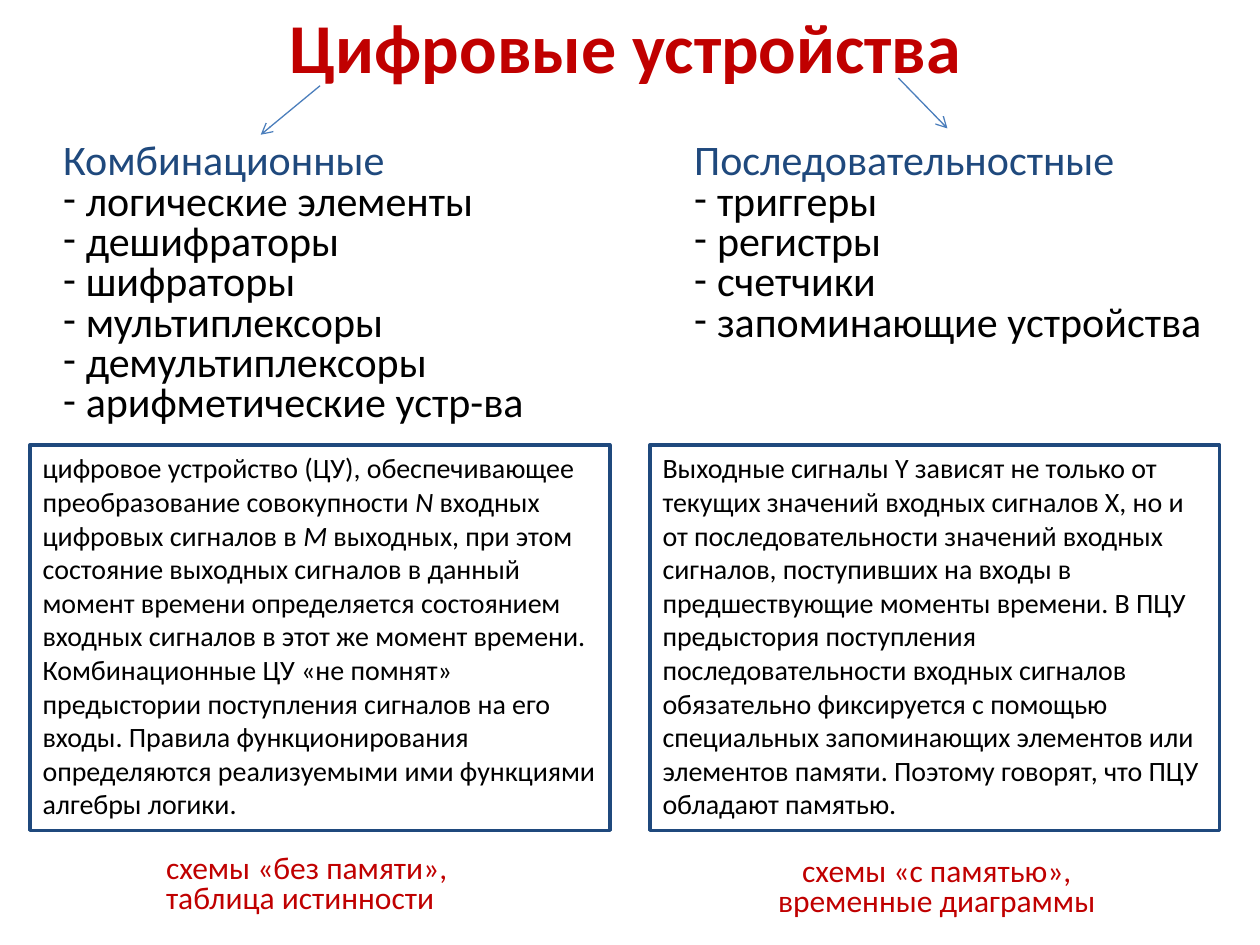
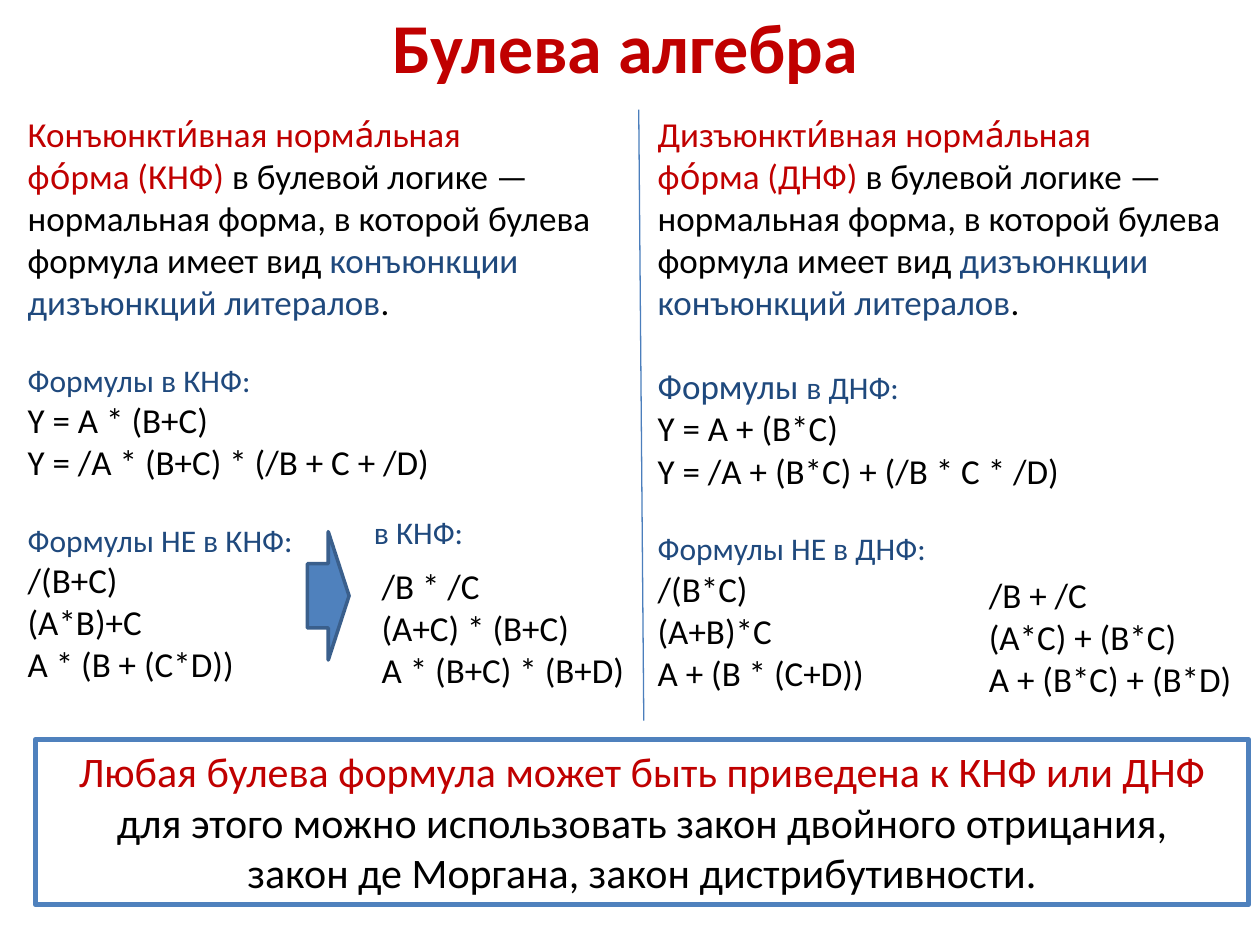
from dataclasses import dataclass

import pptx
import pptx.dml.color
import pptx.enum.shapes
import pptx.enum.text
import pptx.oxml
import pptx.oxml.ns
import pptx.util
from pptx.util import Pt

RED, NAVY, BLACK = "C00000", "1F497D", "000000"
BLUE, ARROW_EDGE, THIN_LINE = "4F81BD", "3A5F8C", "4B7EBC"
FONT = "Calibri"
NBSP = chr(160)
TWO_CONTENT = 3
LEFT = pptx.enum.text.PP_ALIGN.LEFT
CENTER = pptx.enum.text.PP_ALIGN.CENTER
SHAPES = pptx.enum.shapes.MSO_SHAPE


@dataclass(frozen=True)
class Area:
    left: float
    top: float
    width: float
    height: float

    def lengths(self) -> list:
        return [Pt(value) for value in (self.left, self.top, self.width, self.height)]


@dataclass(frozen=True)
class Span:
    text: str
    size: float
    color: str = BLACK
    bold: bool = False
    italic: bool = False


@dataclass(frozen=True)
class Para:
    spans: tuple[Span, ...]
    before: float = 0
    spacing: float = 1.0
    align: int = LEFT
    dash: bool = False


@dataclass(frozen=True)
class DeviceClass:
    """One half of the first slide: a kind of device, its members and traits."""
    name: str
    members: tuple[str, ...]
    list_area: Area
    definition: tuple[Span, ...]
    definition_area: Area
    summary: tuple[str, ...]
    summary_area: Area
    summary_align: int


@dataclass(frozen=True)
class NormalForm:
    """One half of the second slide: a normal form with sample formulas."""
    adjective: str
    short: str
    meaning: str
    heading_size: float
    gap: float
    formulas: tuple[str, ...]
    other_formulas: tuple[str, ...]
    area: Area
    converted: tuple[str, ...]
    converted_area: Area


def rgb(color: str) -> pptx.dml.color.RGBColor:
    return pptx.dml.color.RGBColor.from_string(color)


def add_child(parent, tag: str, **attributes: str) -> None:
    child = pptx.oxml.parse_xml(f"<{tag} {pptx.oxml.ns.nsdecls('a')}/>")
    for name, value in attributes.items():
        child.set(name, value)
    parent.append(child)


def format_para(para, style: Para) -> None:
    para.alignment = style.align
    para.line_spacing = style.spacing
    para.space_before = Pt(style.before)
    properties = para._p.get_or_add_pPr()
    indent = Pt(13) if style.dash else 0
    properties.set("marL", str(indent))
    properties.set("indent", str(-indent))
    if style.dash:
        add_child(properties, "a:buFont", typeface=FONT)
        add_child(properties, "a:buChar", char="-")
    else:
        add_child(properties, "a:buNone")


def write(box, paras: list[Para], wrap: bool = True,
          anchor=pptx.enum.text.MSO_ANCHOR.TOP) -> None:
    frame = box.text_frame
    frame.word_wrap = wrap
    frame.auto_size = pptx.enum.text.MSO_AUTO_SIZE.NONE
    frame.vertical_anchor = anchor
    for index, style in enumerate(paras):
        para = frame.add_paragraph() if index else frame.paragraphs[0]
        format_para(para, style)
        for span in style.spans:
            run = para.add_run()
            run.text = span.text
            run.font.name = FONT
            run.font.size = Pt(span.size)
            run.font.bold = span.bold
            run.font.italic = span.italic
            run.font.color.rgb = rgb(span.color)


def place(box, area: Area) -> None:
    box.left, box.top, box.width, box.height = area.lengths()


def add_page(deck, title: str):
    page = deck.slides.add_slide(deck.slide_layouts[TWO_CONTENT])
    heading = page.shapes.title
    place(heading, Area(8.6, 2.9, 697.7, 46))
    write(heading, [Para((Span(title, 40, RED, bold=True),), align=CENTER)],
          anchor=pptx.enum.text.MSO_ANCHOR.MIDDLE)
    return page


def fill_body(page, index: int, area: Area, paras: list[Para], wrap: bool = True) -> None:
    body = page.placeholders[index]
    place(body, area)
    write(body, paras, wrap)


def add_label(page, area: Area, paras: list[Para]) -> None:
    write(page.shapes.add_textbox(*area.lengths()), paras, wrap=False)


def add_preset(page, preset, area: Area, edge: str, weight: float, fill: str = ""):
    shape = page.shapes.add_shape(preset, *area.lengths())
    shape.shadow.inherit = False
    if fill:
        shape.fill.solid()
        shape.fill.fore_color.rgb = rgb(fill)
    else:
        shape.fill.background()
    shape.line.color.rgb = rgb(edge)
    shape.line.width = Pt(weight)
    return shape


def add_line(page, start: tuple, end: tuple, arrow: bool = False) -> None:
    line = page.shapes.add_connector(
        pptx.enum.shapes.MSO_CONNECTOR.STRAIGHT, *(Pt(value) for value in start + end))
    line.line.color.rgb = rgb(THIN_LINE)
    line.line.width = Pt(0.75)
    properties = line._element.spPr
    if arrow:
        add_child(properties.find(pptx.oxml.ns.qn("a:ln")), "a:tailEnd", type="arrow")
    add_child(properties, "a:effectLst")


DEVICE_CLASSES = (
    DeviceClass(
        "Комбинационные",
        ("логические элементы", "дешифраторы", "шифраторы", "мультиплексоры",
         "демультиплексоры", "арифметические устр-ва"),
        Area(28.8, 78.5, 280, 286.5),
        (Span("цифровое устройство (ЦУ), обеспечивающее преобразование совокупности ", 16),
         Span("N", 16, italic=True),
         Span(" входных цифровых сигналов в ", 16),
         Span("M", 16, italic=True),
         Span(" выходных, при этом состояние выходных сигналов в данный момент времени "
              "определяется состоянием входных сигналов в этот же момент времени. "
              "Комбинационные ЦУ «не помнят» предыстории поступления сигналов на его "
              "входы. Правила функционирования определяются реализуемыми ими функциями "
              "алгебры логики.", 16)),
        Area(17.3, 254.2, 331.2, 220.3),
        ("схемы «без памяти»,", "таблица истинности"),
        Area(87.8, 485.3, 181.4, 42.5), LEFT),
    DeviceClass(
        "Последовательностные",
        ("триггеры", "регистры", "счетчики", "запоминающие устройства"),
        Area(389.5, 78.5, 306.7, 123.8),
        (Span("Выходные сигналы Y зависят не только от текущих значений входных сигналов "
              "X, но и от последовательности значений входных сигналов, поступивших на "
              "входы в предшествующие моменты времени. В ПЦУ предыстория поступления "
              "последовательности входных сигналов обязательно фиксируется с помощью "
              "специальных запоминающих элементов или элементов памяти. Поэтому говорят, "
              "что ПЦУ обладают памятью.", 16),),
        Area(371.5, 254.2, 325.4, 220.3),
        ("схемы «с памятью»,", "временные диаграммы"),
        Area(436.3, 486.7, 198, 42.5), CENTER),
)

NORMAL_FORMS = (
    NormalForm(
        "Конъюнкти́вная", "КНФ", "конъюнкции дизъюнкций литералов", 18, 22,
        ("Y = А * (В+С)", "Y = /А * (В+С) * (/В + С + /D)"),
        ("/(B+C)", "(A*B)+C", "A * (B + (C*D))"),
        Area(8.6, 60.5, 362.9, 380),
        ("/В * /С", "(A+C) * (B+C)", "A * (B+C) * (B+D)"),
        Area(211, 319.3, 155, 80.4)),
    NormalForm(
        "Дизъюнкти́вная", "ДНФ", "дизъюнкции конъюнкций литералов", 20, 24.4,
        ("Y = А + (В*С)", "Y = /А + (В*С) + (/В * С * /D)"),
        ("/(B*C)", "(A+B)*C", "A + (B * (C+D))"),
        Area(368.6, 60.5, 351.4, 385),
        ("/В + /С", "(A*C) + (B*C)", "A + (B*C) + (B*D)"),
        Area(558, 324.1, 155, 80.4)),
)


def build_devices(deck) -> None:
    page = add_page(deck, "Цифровые устройства")
    add_line(page, (182.9, 49), (149, 77), arrow=True)
    add_line(page, (513.4, 44.6), (541.4, 73.4), arrow=True)
    for index, device in enumerate(DEVICE_CLASSES, start=1):
        items = [Para((Span(device.name, 24, NAVY),), spacing=0.8)]
        items += [Para((Span(member, 24),), spacing=0.8, dash=True)
                  for member in device.members]
        fill_body(page, index, device.list_area, items, wrap=False)
        frame = add_preset(page, SHAPES.RECTANGLE, device.definition_area, NAVY, 2)
        write(frame, [Para(device.definition)])
        add_label(page, device.summary_area, [
            Para((Span(text, 18, RED),), spacing=0.8, align=device.summary_align)
            for text in device.summary])


def formula_paras(formulas: tuple[str, ...]) -> list[Para]:
    return [Para((Span(formula, 20),)) for formula in formulas]


def normal_form_paras(form: NormalForm) -> list[Para]:
    definition = Para((
        Span(f"{form.adjective} норма́льная фо́рма{NBSP}({form.short}) ", 20, RED),
        Span("в булевой логике — нормальная форма, в которой булева формула имеет вид ", 20),
        Span(form.meaning, 20, NAVY),
        Span(".", 20)))
    heading = Para((Span("Формулы ", form.heading_size, NAVY),
                    Span(f"в {form.short}:", 18, NAVY)), before=form.gap)
    other = Para((Span(f"Формулы НЕ в {form.short}:", 18, NAVY),), before=22)
    return [definition, heading, *formula_paras(form.formulas),
            other, *formula_paras(form.other_formulas)]


def build_algebra(deck) -> None:
    page = add_page(deck, "Булева алгебра")
    for index, form in enumerate(NORMAL_FORMS, start=1):
        fill_body(page, index, form.area, normal_form_paras(form))
        add_label(page, form.converted_area, formula_paras(form.converted))
    add_line(page, (365, 62.6), (367.9, 411.8))
    conclusion = add_preset(page, SHAPES.RECTANGLE, Area(20.2, 422.6, 693.4, 94.3), BLUE, 3)
    write(conclusion, [Para((Span(text, 24, color),), align=CENTER) for text, color in (
        ("Любая булева формула может быть приведена к КНФ или ДНФ", RED),
        ("для этого можно использовать закон двойного отрицания,", BLACK),
        ("закон де Моргана, закон дистрибутивности.", BLACK))])
    add_preset(page, SHAPES.RIGHT_ARROW, Area(175.7, 303.8, 23.8, 73.4),
               ARROW_EDGE, 2, fill=BLUE)
    add_label(page, Area(206.6, 289.4, 66.2, 28.8), [Para((Span("в КНФ:", 18, NAVY),))])


def main() -> None:
    deck = pptx.Presentation()
    deck.slide_width, deck.slide_height = Pt(720), Pt(540)
    build_devices(deck)
    build_algebra(deck)
    deck.save("out.pptx")


if __name__ == "__main__":
    main()
